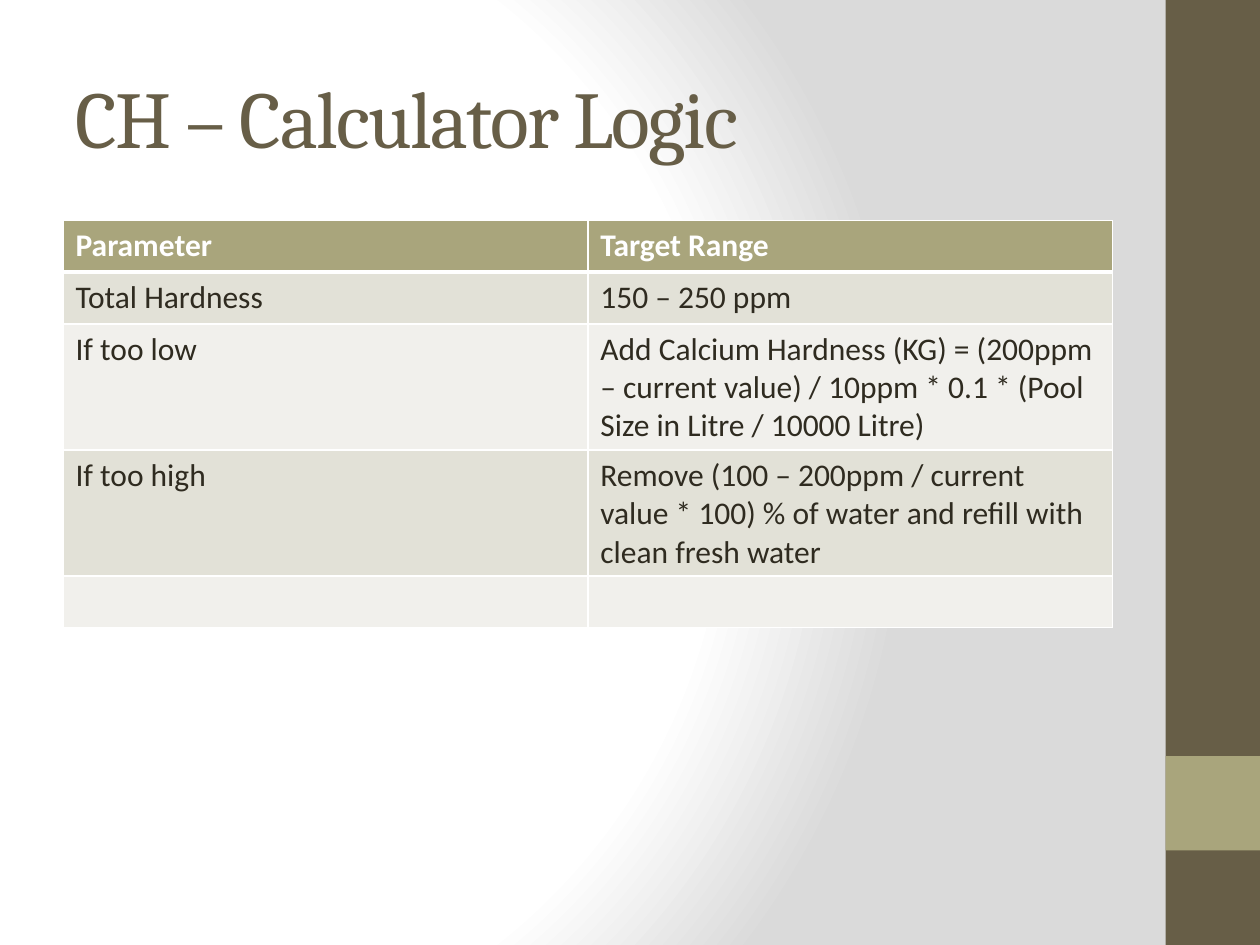
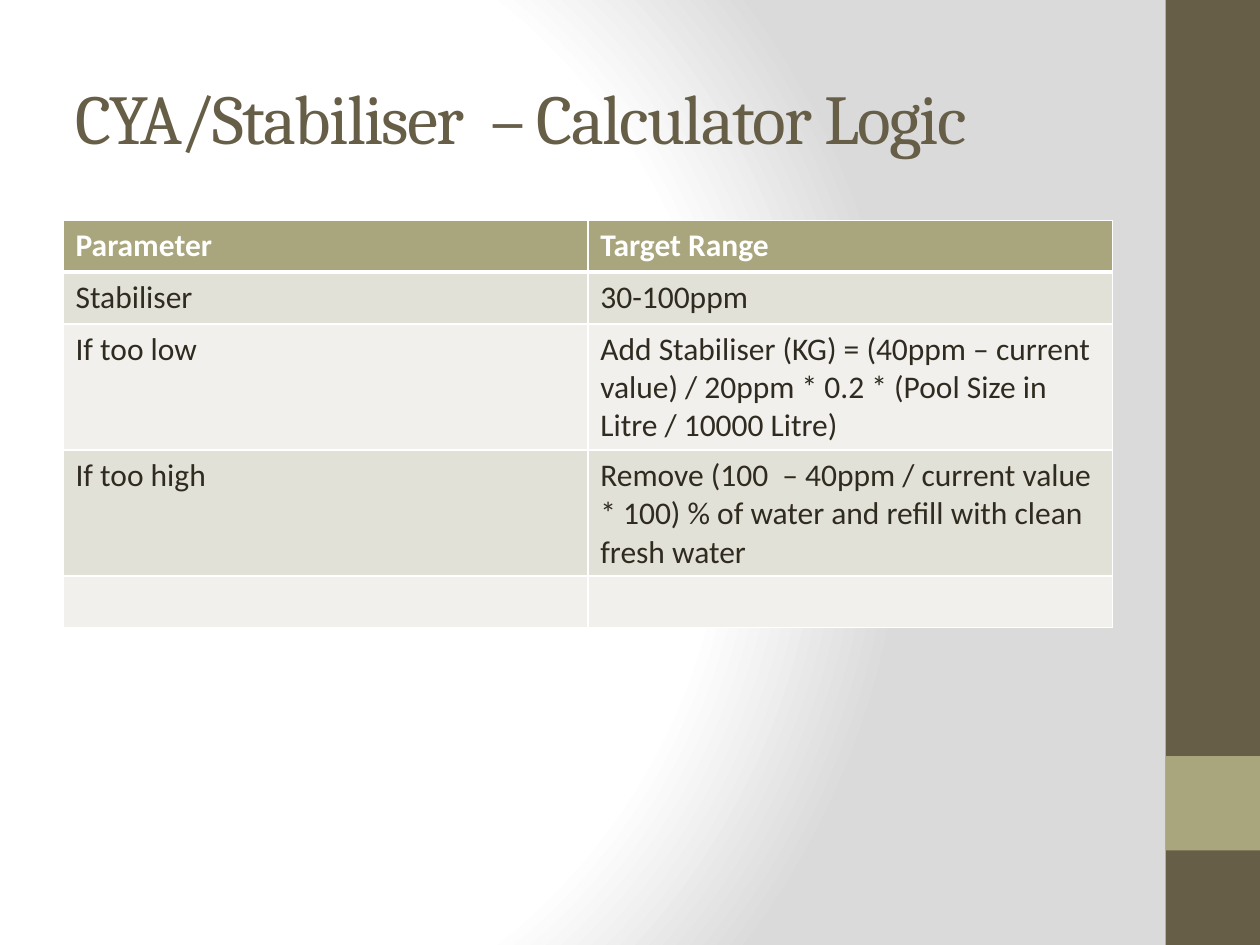
from pptx import Presentation
from pptx.dml.color import RGBColor
from pptx.enum.shapes import MSO_SHAPE
from pptx.enum.text import MSO_ANCHOR
from pptx.oxml import parse_xml
from pptx.oxml.ns import nsdecls, qn
from pptx.util import Inches, Pt

RECTANGLE = MSO_SHAPE.RECTANGLE
MIDDLE = MSO_ANCHOR.MIDDLE

BROWN, OLIVE, INK, WHITE, GREY = "675E47", "A9A57C", "2F2B20", "FFFFFF", "DADADA"
ROW_FILLS = ("E2E1D7", "F1F0EC")
TITLE_FONT, BODY_FONT = "Cambria", "Calibri"
BACKGROUND_STOPS = ((0, WHITE), (75, WHITE), (100, GREY))

# Boxes are left, top, width, height in inches.
SIDE_BAND = (9.25, 0, 0.75, 7.5)
TITLE_BOX = (0.5, 0.3, 8.33, 1.25)
TABLE_BOX = (0.5, 1.75, 8.33, 2.05)

HEADER = ("Parameter", "Target Range")
EMPTY_ROW = ("", "")
SLIDES = [
    ("CH – Calculator Logic", 46, [
        HEADER,
        ("Total Hardness", "150 – 250 ppm"),
        ("If too low", "Add Calcium Hardness (KG) = (200ppm – current value) / 10ppm"
                       " * 0.1 * (Pool Size in Litre / 10000 Litre)"),
        ("If too high", "Remove (100 – 200ppm / current value * 100) % of water"
                        " and refill with clean fresh water"),
        EMPTY_ROW,
    ]),
    ("CYA/Stabiliser  – Calculator Logic", 40, [
        HEADER,
        ("Stabiliser", "30-100ppm"),
        ("If too low", "Add Stabiliser (KG) = (40ppm – current value) / 20ppm"
                       " * 0.2 * (Pool Size in Litre / 10000 Litre)"),
        ("If too high", "Remove (100  – 40ppm / current value * 100) % of water"
                        " and refill with clean fresh water"),
        EMPTY_ROW,
    ]),
]


def color(value):
    return RGBColor.from_string(value)


def write_text(text_frame, text, *, size, font, fill, bold=False, spacing=None):
    """Write one run; spacing is the letter spacing in points."""
    run = text_frame.paragraphs[0].add_run()
    run.text = text
    run.font.size = Pt(size)
    run.font.name = font
    run.font.bold = bold
    run.font.color.rgb = color(fill)
    if spacing is not None:
        run.font._element.set("spc", str(spacing * 100))


def paint_background(slide):
    slide.background.fill.solid()
    stops = "".join(
        f'<a:gs pos="{position * 1000}"><a:srgbClr val="{value}"/></a:gs>'
        for position, value in BACKGROUND_STOPS)
    gradient = parse_xml(
        f'<a:gradFill {nsdecls("a")} rotWithShape="1"><a:gsLst>{stops}</a:gsLst>'
        '<a:path path="circle"><a:fillToRect l="20000" t="50000" r="100000" b="50000"/>'
        '</a:path></a:gradFill>')
    properties = slide.element.find(".//" + qn("p:bgPr"))
    properties.replace(properties.find(qn("a:solidFill")), gradient)


def add_rectangle(slide, box, fill):
    shape = slide.shapes.add_shape(RECTANGLE, *map(Inches, box))
    shape.shadow.inherit = False
    shape.fill.solid()
    shape.fill.fore_color.rgb = color(fill)
    shape.line.fill.background()


def add_side_band(slide, box):
    """Draw the band with a square accent two widths above its foot."""
    left, top, width, height = box
    add_rectangle(slide, box, BROWN)
    add_rectangle(slide, (left, top + height - 2 * width, width, width), OLIVE)


def add_title(slide, box, text, size):
    text_frame = slide.shapes.add_textbox(*map(Inches, box)).text_frame
    text_frame.word_wrap = True
    text_frame.vertical_anchor = MIDDLE
    write_text(text_frame, text, size=size, font=TITLE_FONT, fill=BROWN, spacing=-1)


def set_borders(cell, **widths):
    """Draw white borders, 1 pt wide unless a side (L, R, T, B) says otherwise."""
    properties = cell._tc.get_or_add_tcPr()
    for side in "LRTB":
        properties.append(parse_xml(
            f'<a:ln{side} {nsdecls("a")} w="{Pt(widths.get(side, 1))}"><a:solidFill>'
            f'<a:srgbClr val="{WHITE}"/></a:solidFill></a:ln{side}>'))


def add_range_table(slide, box, rows):
    left, top, width, height = map(Inches, box)
    table = slide.shapes.add_table(len(rows), len(HEADER), left, top, width, height).table
    for row_index, row in enumerate(rows):
        is_header = row_index == 0
        row_fill = OLIVE if is_header else ROW_FILLS[(row_index - 1) % 2]
        for column_index, text in enumerate(row):
            cell = table.cell(row_index, column_index)
            set_borders(cell, B=3 if is_header else 1, T=3 if row_index == 1 else 1)
            cell.fill.solid()
            cell.fill.fore_color.rgb = color(row_fill)
            if text:
                write_text(cell.text_frame, text, size=18, font=BODY_FONT,
                           fill=WHITE if is_header else INK, bold=is_header)


def add_calculator_slide(presentation, title, title_size, rows):
    slide = presentation.slides.add_slide(presentation.slide_layouts[6])
    paint_background(slide)
    add_side_band(slide, SIDE_BAND)
    add_title(slide, TITLE_BOX, title, title_size)
    add_range_table(slide, TABLE_BOX, rows)


def main():
    presentation = Presentation()
    presentation.slide_width = Inches(10)
    presentation.slide_height = Inches(7.5)
    for title, title_size, rows in SLIDES:
        add_calculator_slide(presentation, title, title_size, rows)
    presentation.save("out.pptx")


if __name__ == "__main__":
    main()
